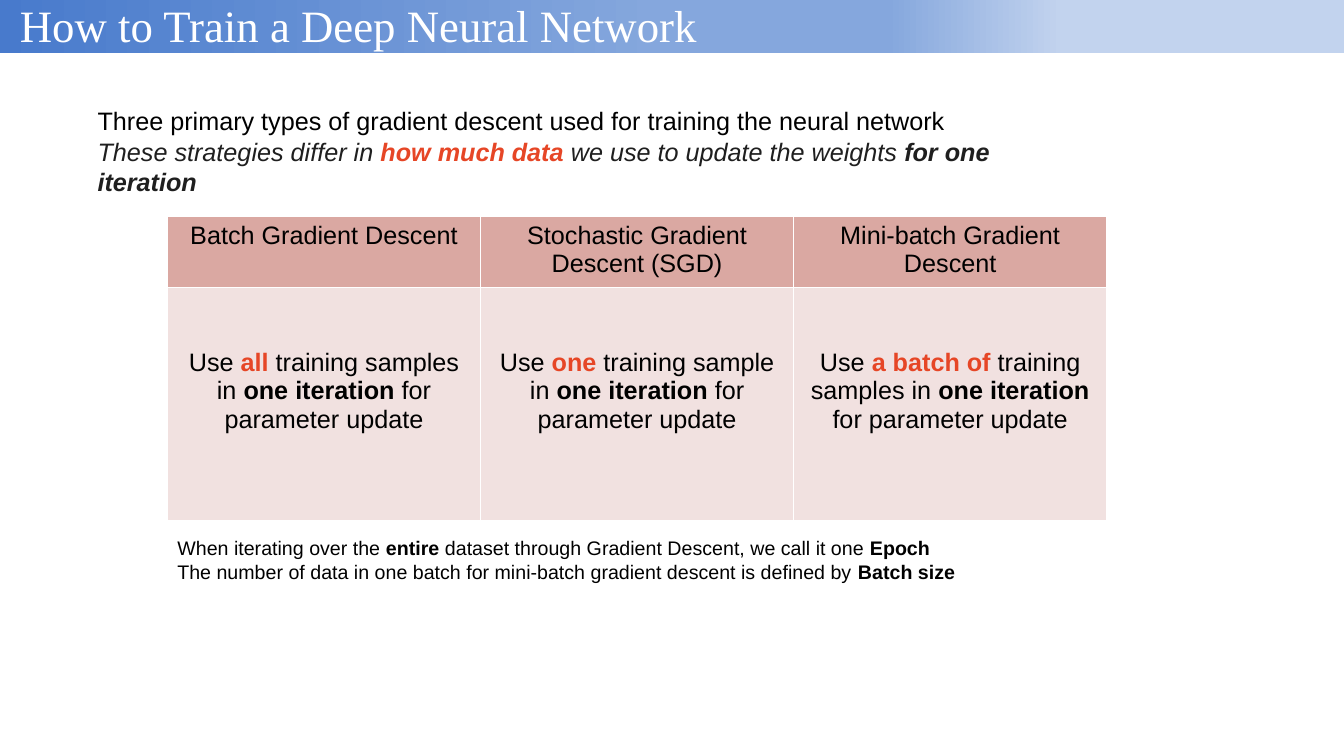
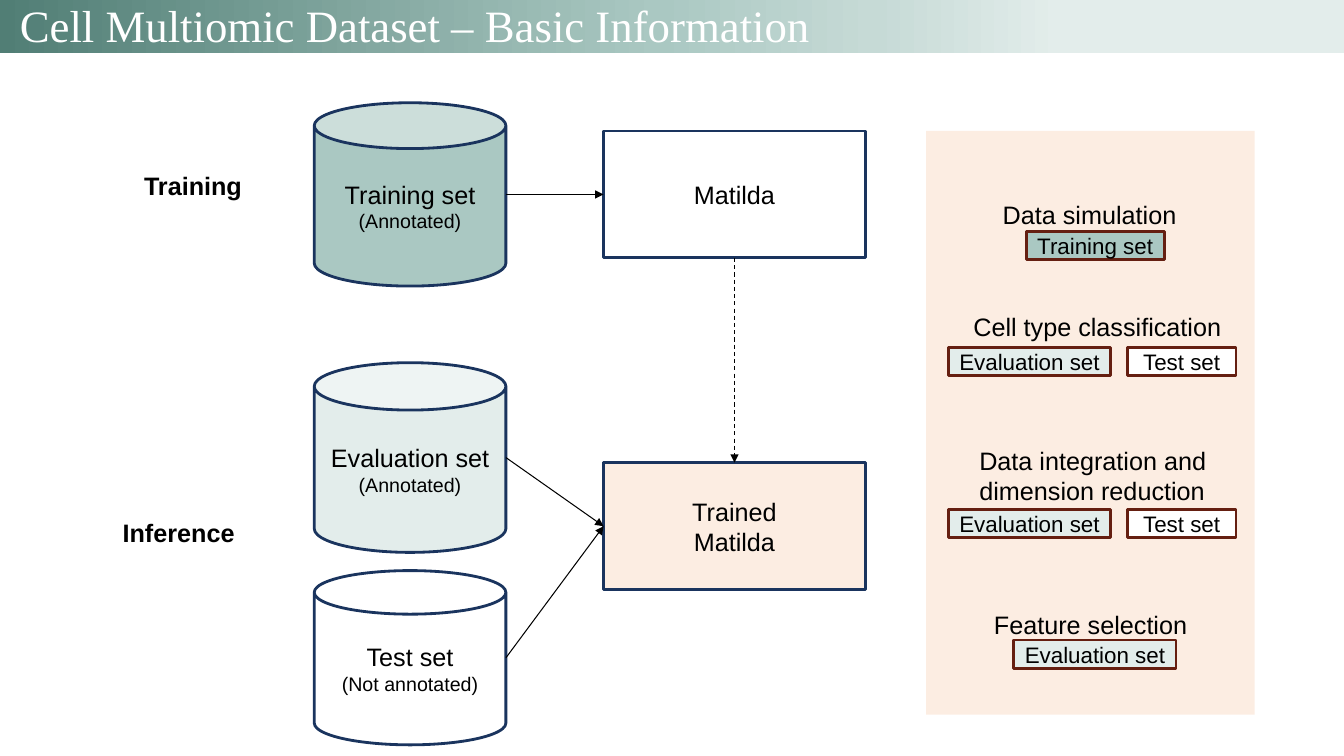
from dataclasses import dataclass, field
from typing import Any

from lxml.etree import SubElement
from pptx import Presentation
from pptx.dml.color import RGBColor
from pptx.enum.dml import MSO_LINE
from pptx.enum.shapes import MSO_CONNECTOR, MSO_SHAPE
from pptx.enum.text import MSO_ANCHOR, MSO_AUTO_SIZE, PP_ALIGN
from pptx.oxml import parse_xml
from pptx.oxml.ns import nsdecls, qn
from pptx.util import Cm, Pt

COLORS = {
    "black": "000000", "white": "FFFFFF", "ink": "1F1F1F", "accent": "E64626",
    "header": "DAA8A2", "cell": "F1E1E0", "navy": "1A345E", "brown": "651F11",
    "peach": "FCEDE2", "green": "AAC8C2", "mist": "E3EDEB",
}
BLUE_BAND = {0: "487ACC", 49: "85A7DD", 66: "85A7DD", 79: "C2D3EE"}
GREEN_BAND = {0: "517E75", 49: "AAC8C2", 65: "C6DAD6", 79: "E3EDEB"}
SLIDE_WIDTH, SLIDE_HEIGHT = 33.87, 19.05
BASE_FORMAT = {"name": "Arial", "size": 18, "bold": False, "italic": False, "color": "black"}
TITLE_FORMAT = {"name": "Times New Roman", "size": 32, "color": "white"}
BOLD = {"bold": True}
ACCENT = {"bold": True, "color": "accent"}
ITALIC = {"italic": True, "color": "ink"}
SMALL = {"size": 14}


@dataclass
class Span:
    text: str
    format: dict[str, Any] = field(default_factory=dict)


@dataclass
class Area:
    """A rectangle in centimetres."""
    left: float
    top: float
    width: float
    height: float

    def lengths(self) -> list[Cm]:
        return [Cm(value) for value in (self.left, self.top, self.width, self.height)]


@dataclass
class Label:
    area: Area
    lines: list[list[Span]]
    wrap: bool = False
    align: PP_ALIGN = PP_ALIGN.LEFT


@dataclass
class Block:
    area: Area
    lines: list[list[Span]]
    fill: str
    line: str | None = "navy"
    shape: MSO_SHAPE = MSO_SHAPE.RECTANGLE


@dataclass
class Method:
    name: str
    amount: str
    samples: str


def rgb(name: str) -> RGBColor:
    return RGBColor.from_string(COLORS[name])


def apply_format(font, values: dict[str, Any]) -> None:
    for name, value in values.items():
        if name == "color":
            font.color.rgb = rgb(value)
        else:
            setattr(font, name, Pt(value) if name == "size" else value)


def write_lines(frame, lines: list[list[Span]], align=PP_ALIGN.LEFT, base=BASE_FORMAT) -> None:
    for index, spans in enumerate(lines):
        para = frame.add_paragraph() if index else frame.paragraphs[0]
        para.alignment = align
        for span in spans:
            run = para.add_run()
            run.text = span.text
            apply_format(run.font, base | span.format)


def clear_margins(frame) -> None:
    for side in ("left", "top", "right", "bottom"):
        setattr(frame, f"margin_{side}", 0)


def add_page(deck, title: str, stops: dict[int, str]):
    """Add a slide with its gradient band and its title."""
    page = deck.slides.add_slide(deck.slide_layouts[5])
    band = page.shapes.add_shape(MSO_SHAPE.RECTANGLE, *Area(0, 0, SLIDE_WIDTH, 1.34).lengths())
    band.shadow.inherit = False
    band.line.fill.background()
    band.fill.gradient()
    band.fill.gradient_angle = 0
    stop_list = band.fill._fill._gradFill.find(qn("a:gsLst"))
    stop_list.clear()
    for position, color in stops.items():
        stop = SubElement(stop_list, qn("a:gs"), pos=str(position * 1000))
        SubElement(stop, qn("a:srgbClr"), val=color)

    heading = page.shapes.title
    page.shapes._spTree.append(heading._element)
    heading.left, heading.top, heading.width, heading.height = Area(0.5, -0.05, 29.6, 2.74).lengths()
    frame = heading.text_frame
    frame.auto_size = MSO_AUTO_SIZE.NONE
    frame.vertical_anchor = MSO_ANCHOR.TOP
    clear_margins(frame)
    write_lines(frame, [[Span(title)]], base=TITLE_FORMAT)
    return page


def add_label(page, label: Label) -> None:
    box = page.shapes.add_textbox(*label.area.lengths())
    box.text_frame.word_wrap = label.wrap
    write_lines(box.text_frame, label.lines, label.align)


def add_block(page, block: Block):
    box = page.shapes.add_shape(block.shape, *block.area.lengths())
    box.shadow.inherit = False
    box.fill.solid()
    box.fill.fore_color.rgb = rgb(block.fill)
    if block.line:
        box.line.color.rgb = rgb(block.line)
        box.line.width = Pt(2)
    else:
        box.line.fill.background()
    frame = box.text_frame
    frame.word_wrap = True
    frame.vertical_anchor = MSO_ANCHOR.MIDDLE
    clear_margins(frame)
    write_lines(frame, block.lines, PP_ALIGN.CENTER)
    return box


def add_arrow(page, start: tuple[int, int], target, site: int, dashed: bool = False) -> None:
    """Draw an arrow from a point to a connection site of the target box."""
    arrow = page.shapes.add_connector(MSO_CONNECTOR.STRAIGHT, *start, *start)
    arrow.end_connect(target, site)
    arrow.line.color.rgb = rgb("black")
    arrow.line.width = Pt(0.75)
    if dashed:
        arrow.line.dash_style = MSO_LINE.DASH
    SubElement(arrow.line._get_or_add_ln(), qn("a:tailEnd"), type="triangle")
    SubElement(arrow._element.spPr, qn("a:effectLst"))


def style_cell(cell, fill: str) -> None:
    cell.fill.solid()
    cell.fill.fore_color.rgb = rgb(fill)
    properties = cell._tc.get_or_add_tcPr()
    for index, side in enumerate("LRTB"):
        properties.insert(index, parse_xml(
            f'<a:ln{side} {nsdecls("a")} w="12700"><a:solidFill>'
            f'<a:srgbClr val="{COLORS["white"]}"/></a:solidFill></a:ln{side}>'))


def add_method_table(page, methods: list[Method]) -> None:
    area = Area(4.22, 5.46, 23.67, 7.66)
    table = page.shapes.add_table(2, len(methods), *area.lengths()).table
    table.horz_banding = False
    for row, height in zip(table.rows, (1.79, 5.87)):
        row.height = Cm(height)
    for column, method in enumerate(methods):
        table.columns[column].width = Cm(area.width / len(methods))
        header, body = table.cell(0, column), table.cell(1, column)
        style_cell(header, "header")
        style_cell(body, "cell")
        body.margin_top = Cm(1.54)
        write_lines(header.text_frame, [[Span(method.name)]], PP_ALIGN.CENTER)
        write_lines(body.text_frame, [[
            Span("Use "), Span(method.amount, ACCENT), Span(f" training {method.samples} in "),
            Span("one iteration ", BOLD), Span("for parameter update"),
        ]], PP_ALIGN.CENTER)


def build_training_page(deck) -> None:
    page = add_page(deck, "How to Train a Deep Neural Network", BLUE_BAND)
    add_label(page, Label(Area(2.21, 2.54, 23.67, 1.8), [
        [Span("Three primary types of gradient descent used for training the neural network")],
        [Span("These strategies differ in ", ITALIC),
         Span("how much data ", ITALIC | ACCENT),
         Span("we use to update the weights ", ITALIC),
         Span("for one iteration", ITALIC | BOLD)],
    ], wrap=True))
    add_method_table(page, [
        Method("Batch Gradient Descent", "all", "samples"),
        Method("Stochastic Gradient Descent (SGD)", "one", "sample"),
        Method("Mini-batch Gradient Descent", "a batch of", "samples"),
    ])
    add_label(page, Label(Area(4.22, 13.39, 22.12, 1.45), [
        [Span("When iterating over the ", SMALL), Span("entire", SMALL | BOLD),
         Span(" dataset through Gradient Descent, we call it one ", SMALL),
         Span("Epoch", SMALL | BOLD)],
        [Span("The number of data in one batch for mini-batch gradient descent is defined by ", SMALL),
         Span("Batch size", SMALL | BOLD)],
    ], wrap=True))


def add_dataset(page, name: str, note: str, fill: str, top: float, height: float):
    return add_block(page, Block(Area(7.92, top, 4.83, height), [[Span(name)], [Span(note, SMALL)]],
                                 fill, shape=MSO_SHAPE.CAN))


def add_model(page, lines: list[str], fill: str, top: float):
    return add_block(page, Block(Area(15.21, top, 6.6, 3.2), [[Span(line)] for line in lines], fill))


def add_tag(page, name: str, left: float, top: float) -> None:
    width, fill = {"Training set": (3.48, "green"), "Evaluation set": (4.09, "mist"),
                   "Test set": (2.74, "white")}[name]
    add_block(page, Block(Area(left, top, width, 0.71), [[Span(name, {"size": 16})]], fill, "brown"))


def build_dataset_page(deck) -> None:
    page = add_page(deck, "Cell Multiomic Dataset – Basic Information", GREEN_BAND)
    matilda = add_model(page, ["Matilda"], "white", 3.3)
    trained = add_model(page, ["Trained", "Matilda"], "peach", 11.66)
    training = add_dataset(page, "Training set", "(Annotated)", "green", 2.59, 4.62)
    evaluation = add_dataset(page, "Evaluation set", "(Annotated)", "mist", 9.14, 4.78)
    test = add_dataset(page, "Test set", "(Not annotated)", "white", 14.38, 4.39)

    for source, target in ((training, matilda), (evaluation, trained), (test, trained)):
        start = (source.left + source.width, source.top + source.height // 2)
        add_arrow(page, start, target, 1)
    bottom = (matilda.left + matilda.width // 2, matilda.top + matilda.height)
    add_arrow(page, bottom, trained, 0, dashed=True)

    add_block(page, Block(Area(23.34, 3.3, 8.28, 14.71), [], "peach", None))
    for label in (
        Label(Area(3.38, 4.17, 3.05, 1.02), [[Span("Training", BOLD)]]),
        Label(Area(2.84, 12.9, 3.35, 1.02), [[Span("Inference", BOLD)]]),
        Label(Area(25.02, 4.9, 4.93, 1.02), [[Span("Data simulation")]]),
        Label(Area(24.28, 7.72, 6.81, 1.02), [[Span("Cell type classification")]]),
        Label(Area(24.43, 11.1, 6.35, 1.8),
              [[Span("Data integration and dimension reduction")]], wrap=True),
        Label(Area(24.31, 15.24, 6.35, 1.02), [[Span("Feature selection")]],
              wrap=True, align=PP_ALIGN.CENTER),
    ):
        add_label(page, label)

    add_tag(page, "Training set", 25.86, 5.84)
    for top in (8.76, 12.83):
        add_tag(page, "Evaluation set", 23.9, top)
        add_tag(page, "Test set", 28.41, top)
    add_tag(page, "Evaluation set", 25.55, 16.13)


def main() -> None:
    deck = Presentation()
    deck.slide_width, deck.slide_height = Cm(SLIDE_WIDTH), Cm(SLIDE_HEIGHT)
    build_training_page(deck)
    build_dataset_page(deck)
    deck.save("out.pptx")


if __name__ == "__main__":
    main()
